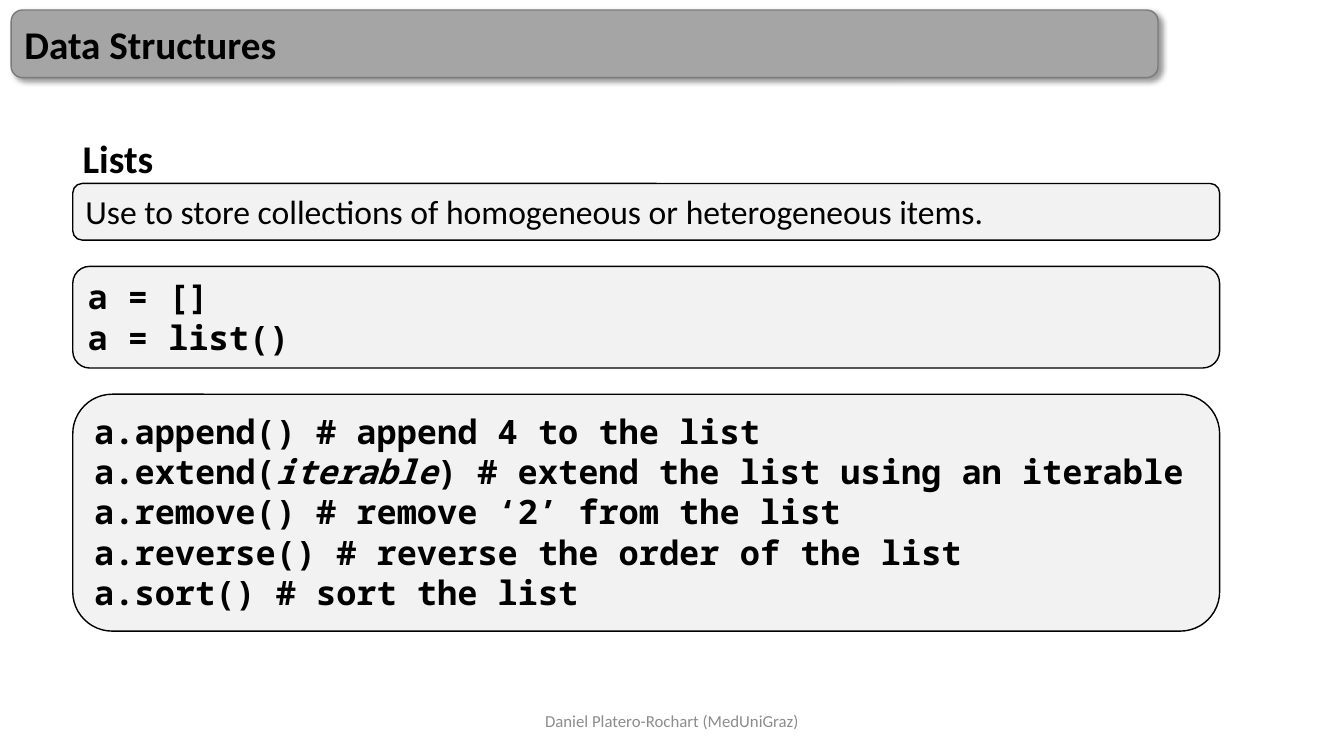
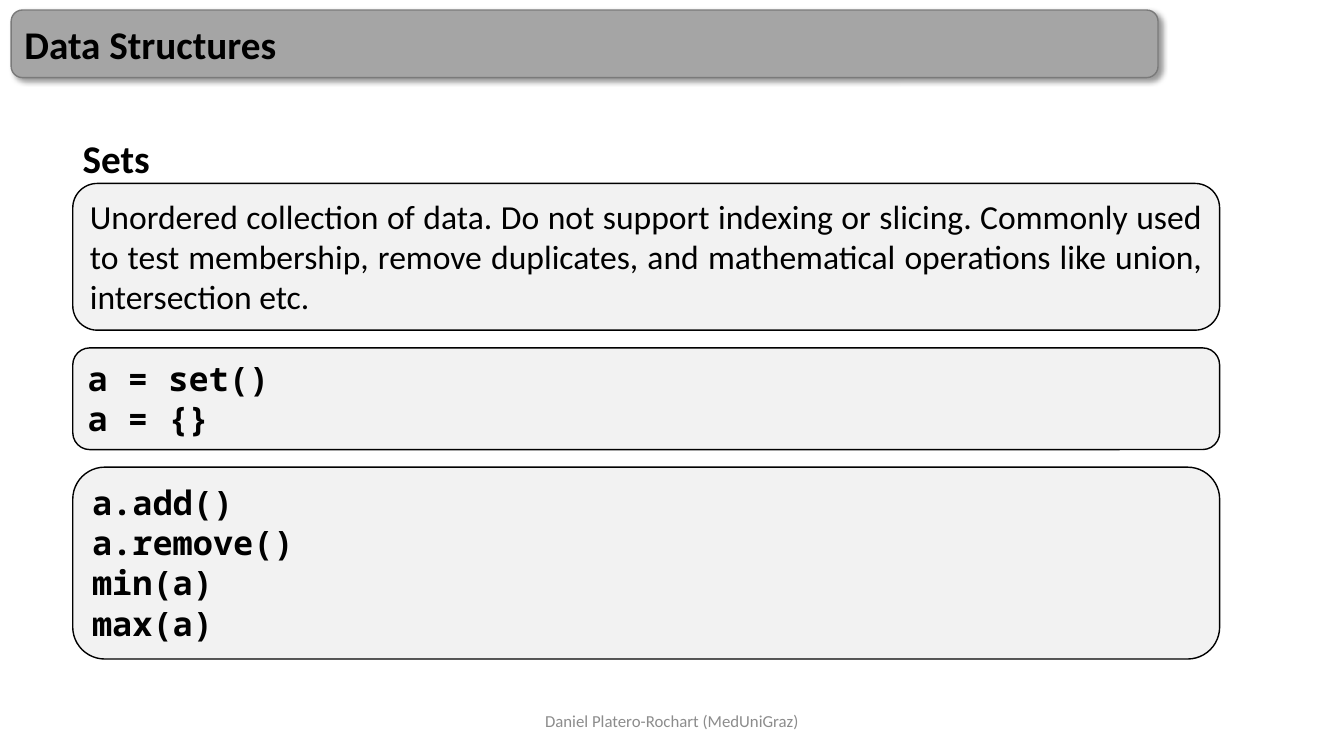
from lxml import etree
from pptx import Presentation
from pptx.dml.color import RGBColor
from pptx.enum.shapes import MSO_SHAPE
from pptx.enum.text import MSO_ANCHOR, MSO_AUTO_SIZE, PP_ALIGN
from pptx.oxml import parse_xml
from pptx.util import Inches, Pt

ROUNDED = MSO_SHAPE.ROUNDED_RECTANGLE
TOP, MIDDLE = MSO_ANCHOR.TOP, MSO_ANCHOR.MIDDLE
GROW, FIXED = MSO_AUTO_SIZE.SHAPE_TO_FIT_TEXT, MSO_AUTO_SIZE.NONE
LEFT, CENTER, JUSTIFY = PP_ALIGN.LEFT, PP_ALIGN.CENTER, PP_ALIGN.JUSTIFY

BLACK = RGBColor(0x00, 0x00, 0x00)
BAND_FILL = RGBColor(0xA5, 0xA5, 0xA5)
BAND_EDGE = RGBColor(0x7A, 0x7A, 0x7A)
PANEL_FILL = RGBColor(0xF2, 0xF2, 0xF2)
FOOTER_GRAY = RGBColor(0x8C, 0x8C, 0x8C)
BODY_FONT, CODE_FONT = "Calibri", "Noto Sans Mono"

BAND_SHADOW = (
    '<a:effectLst xmlns:a="http://schemas.openxmlformats.org/drawingml/2006/main">'
    '<a:outerShdw blurRad="50800" dist="38100" dir="2700000" algn="tl" rotWithShape="0">'
    '<a:srgbClr val="000000"><a:alpha val="40000"/></a:srgbClr>'
    '</a:outerShdw></a:effectLst>'
)

prs = Presentation()
prs.slide_width, prs.slide_height = Inches(13.33), Inches(7.5)

# Grid: 120 columns by 75 rows
COL, ROW = prs.slide_width / 120, prs.slide_height / 75
PANEL_LEFT, PANEL_WIDTH = 6.5, 102.4
PANELS_TOP = 18.2
PANEL_PADDING, LINE_HEIGHT = 1.15, 4.47


def write_text(shape, lines, size=24, font=BODY_FONT, color=BLACK, bold=False,
               align=LEFT, anchor=TOP, auto_size=FIXED):
    """Fill a shape; in a line given as a tuple, every second part is italic."""
    frame = shape.text_frame
    frame.word_wrap = True
    frame.auto_size = auto_size
    frame.vertical_anchor = anchor
    for number, line in enumerate(lines):
        paragraph = frame.paragraphs[0] if number == 0 else frame.add_paragraph()
        paragraph.alignment = align
        parts = line if isinstance(line, tuple) else (line,)
        for position, part in enumerate(parts):
            run = paragraph.add_run()
            run.text = part
            run.font.name, run.font.size = font, Pt(size)
            run.font.bold, run.font.italic = bold, position % 2 == 1
            run.font.color.rgb = color


def add_box(slide, left, top, width, height, fill=None, edge=None):
    """Place a text box, or a rounded panel when a fill is given."""
    area = [round(v) for v in (left * COL, top * ROW, width * COL, height * ROW)]
    if fill is None:
        return slide.shapes.add_textbox(*area)
    panel = slide.shapes.add_shape(ROUNDED, *area)
    panel.shadow.inherit = False
    panel.fill.solid()
    panel.fill.fore_color.rgb = fill
    panel.line.color.rgb = edge
    panel.line.width = Pt(1)
    return panel


# Topic, gap between panels in rows, then (text lines, rows of text, font) per panel
TOPICS = [
    ("Lists", 2.6, [
        (["Use to store collections of homogeneous or heterogeneous items."], 1, BODY_FONT),
        (["a = []", "a = list()"], 2, CODE_FONT),
        (["a.append() # append 4 to the list",
          ("a.extend(", "iterable", ") # extend the list using an iterable"),
          "a.remove() # remove ‘2’ from the list",
          "a.reverse() # reverse the order of the list",
          "a.sort() # sort the list"], 5, CODE_FONT),
    ]),
    ("Sets", 1.75, [
        (["Unordered collection of data. Do not support indexing or slicing. "
          "Commonly used to test membership, remove duplicates, and mathematical "
          "operations like union, intersection etc."], 3, BODY_FONT),
        (["a = set()", "a = {}"], 2, CODE_FONT),
        (["a.add()", "a.remove()", "min(a)", "max(a)"], 4, CODE_FONT),
    ]),
]

for topic, gap, panels in TOPICS:
    slide = prs.slides.add_slide(prs.slide_layouts[6])

    # Footer
    footer = add_box(slide, 39.75, 69.5, 40.5, 4)
    write_text(footer, ["Daniel Platero-Rochart (MedUniGraz)"], size=12,
               color=FOOTER_GRAY, align=CENTER, anchor=MIDDLE)

    # Title band with its soft shadow
    band = add_box(slide, 1, 1, PANEL_WIDTH, 6.7, BAND_FILL, BAND_EDGE)
    properties = band.fill._xPr
    properties.replace(properties.find("{*}effectLst"), parse_xml(BAND_SHADOW))
    write_text(band, ["Data Structures"], size=28, bold=True, anchor=MIDDLE)

    # Topic heading
    heading = add_box(slide, PANEL_LEFT, 12.8, 45.6, 5.7)
    write_text(heading, [topic], size=28, bold=True, auto_size=GROW)

    # Panels, stacked and sized by their rows of text
    top = PANELS_TOP
    for lines, text_rows, font in panels:
        height = PANEL_PADDING + LINE_HEIGHT * text_rows
        panel = add_box(slide, PANEL_LEFT, top, PANEL_WIDTH, height, PANEL_FILL, BLACK)
        write_text(panel, lines, font=font, bold=font == CODE_FONT,
                   align=JUSTIFY, auto_size=GROW)
        top += height + gap

prs.save("out.pptx")
